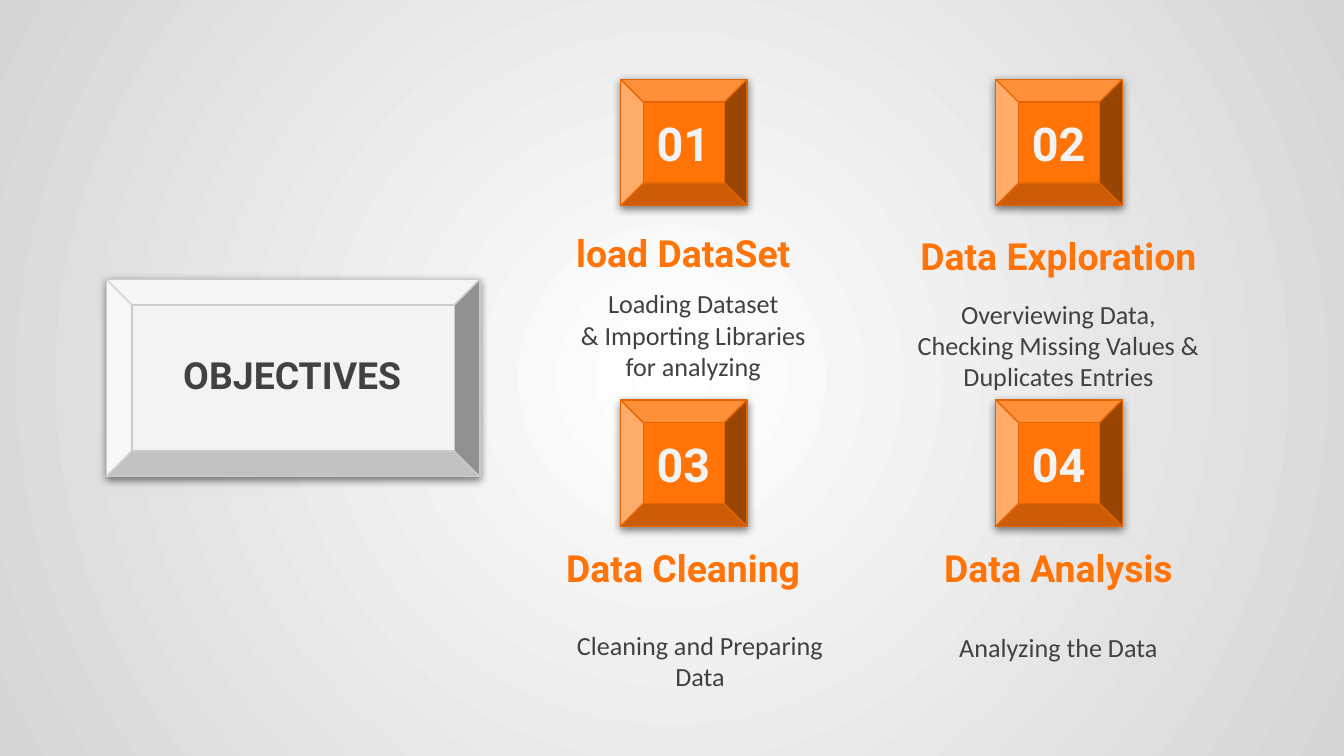
from lxml.etree import SubElement
from pptx import Presentation
from pptx.dml.color import RGBColor
from pptx.enum.shapes import MSO_SHAPE
from pptx.enum.text import MSO_ANCHOR, MSO_AUTO_SIZE, PP_ALIGN
from pptx.oxml.ns import qn
from pptx.util import Cm, Pt

ORANGE, DARK, LIGHT = "FF7307", "42413F", "F3F3F3"
COL_STEP, ROW_STEP = 7.09, 6.06

OBJECTIVES = [
    ("01", "load DataSet", 1.09,
     ["Loading Dataset", "& Importing Libraries", "for analyzing"],
     (5.46, 6.07, 1.73), True),
    ("02", "Data Exploration", 1.24,
     ["Overviewing Data, Checking Missing Values & Duplicates Entries"],
     (5.74, 6.07, 1.57), False),
    ("03", "Data Cleaning", 1.09, ["Cleaning and Preparing", "Data"],
     (11.4, 6.32, 2.18), True),
    ("04", "Data Analysis", 1.09, ["Analyzing the Data"],
     (11.4, 6.07, 1.68), False),
]


def color(value):
    return RGBColor.from_string(value)


def add_xml(parent, tag, **attrs):
    return SubElement(parent, qn(tag), attrs)


def set_background(s):
    fill = s.background.fill
    fill.gradient()
    for stop, value in zip(fill.gradient_stops, ("FFFFFF", "D6D6D6")):
        stop.color.rgb = color(value)
    grad = s.element.find(".//" + qn("a:gradFill"))
    grad.remove(grad.find(qn("a:lin")))
    path = add_xml(grad, "a:path", path="circle")
    add_xml(path, "a:fillToRect", l="50000", t="50000", r="50000", b="50000")


def add_bevel(s, x, y, w, h, depth, fill, line):
    sp = s.shapes.add_shape(MSO_SHAPE.BEVEL, Cm(x), Cm(y), Cm(w), Cm(h))
    sp.adjustments[0] = depth
    sp.fill.solid()
    sp.fill.fore_color.rgb = color(fill)
    sp.line.color.rgb = color(line)
    sp.line.width = Pt(0.75)
    sp.shadow.inherit = False
    effects = sp.element.spPr.find(qn("a:effectLst"))
    shadow = add_xml(effects, "a:outerShdw", blurRad="57150", dist="19050",
                     dir="5400000", algn="bl", rotWithShape="0")
    rgb = add_xml(shadow, "a:srgbClr", val="000000")
    add_xml(rgb, "a:alpha", val="50000")


def write(sp, lines, size=20, font="Roboto", fill=DARK, bold=True,
          hanging=False, spacing=1.0):
    tf = sp.text_frame
    tf.word_wrap = True
    tf.auto_size = MSO_AUTO_SIZE.NONE
    tf.vertical_anchor = MSO_ANCHOR.MIDDLE
    tf.margin_left = tf.margin_right = Cm(0.25)
    tf.margin_top = tf.margin_bottom = Cm(0.25)
    for i, line in enumerate(lines):
        p = tf.add_paragraph() if i else tf.paragraphs[0]
        p.alignment = PP_ALIGN.CENTER
        p.line_spacing = spacing
        p.space_before = Pt(0)
        if hanging:
            pPr = p._p.get_or_add_pPr()
            pPr.set("marL", str(Cm(1.27)))
            pPr.set("indent", str(Cm(-0.89)))
        r = p.add_run()
        r.text = line
        r.font.size = Pt(size)
        r.font.name = font
        r.font.bold = bold
        r.font.color.rgb = color(fill)


def add_text(s, x, y, w, h, lines, **fmt):
    sp = s.shapes.add_textbox(Cm(x), Cm(y), Cm(w), Cm(h))
    write(sp, lines, **fmt)


def add_title(s, x, y, w, h, text, **fmt):
    title = s.shapes.title
    title.left, title.top, title.width, title.height = Cm(x), Cm(y), Cm(w), Cm(h)
    write(title, [text], **fmt)
    title.element.getparent().append(title.element)


def add_objective(s, index, number, heading, heading_h, lines, body, hanging):
    row, col = divmod(index, 2)
    dx, dy = col * COL_STEP, row * ROW_STEP
    add_bevel(s, 11.73 + dx, 1.5 + dy, 2.39, 2.39, 0.18, ORANGE, "E46503")
    add_text(s, 11.15 + dx, 2.03 + dy, 3.53, 1.35, [number], size=25, fill=LIGHT)
    heading_y = (4.22, 10.19)[row]
    add_text(s, 9.88 + dx, heading_y, 6.07, heading_h, [heading], fill=ORANGE)
    y, w, h = body
    add_text(s, 9.88 + dx, y, w, h, lines, size=14, font="Calibri",
             bold=False, hanging=hanging)


def main():
    prs = Presentation()
    prs.slide_width, prs.slide_height = Cm(25.4), Cm(14.29)
    s = prs.slides.add_slide(prs.slide_layouts[5])
    set_background(s)
    add_bevel(s, 2.01, 5.28, 7.06, 3.73, 0.13, LIGHT, "CCCCCC")
    add_title(s, 2.49, 5.11, 6.07, 4.09, "OBJECTIVES", spacing=0.8)
    for index, objective in enumerate(OBJECTIVES):
        add_objective(s, index, *objective)
    prs.save("out.pptx")


if __name__ == "__main__":
    main()
